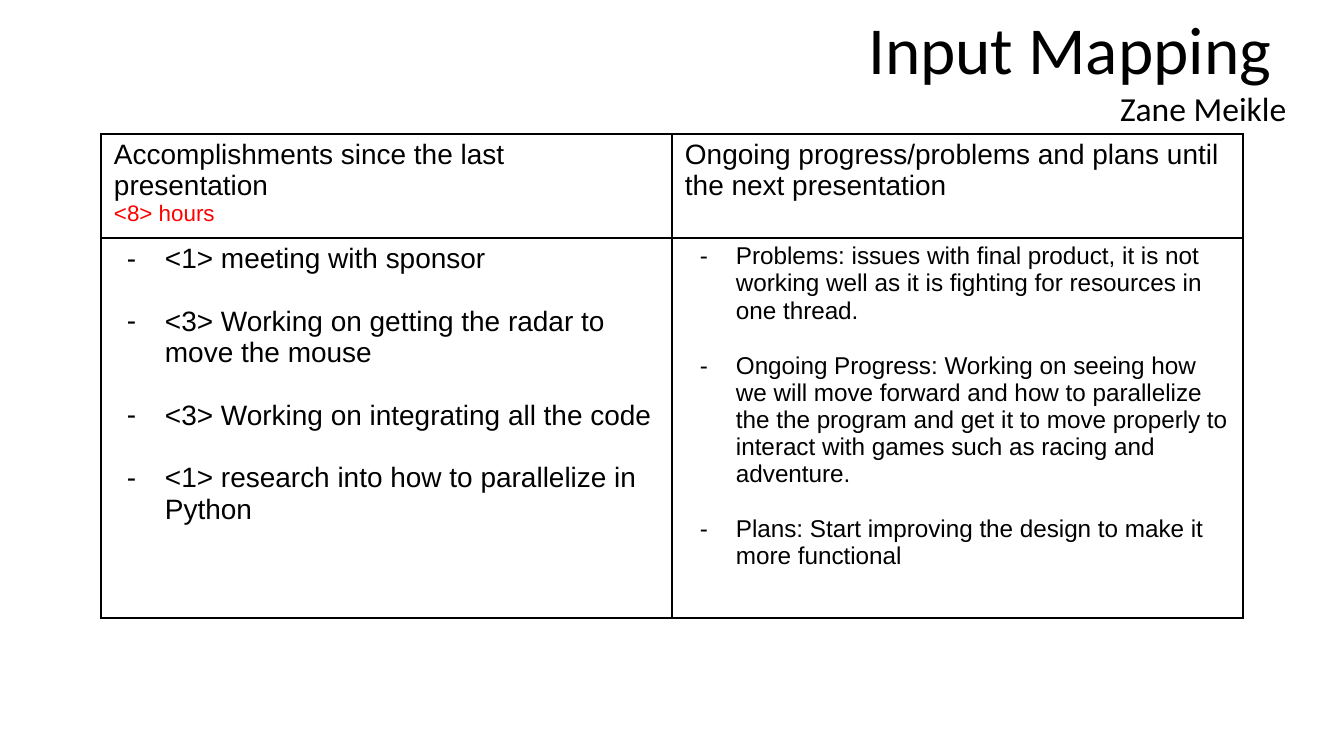
"""Build the Input Mapping status slide with its two-column progress table."""
from lxml import etree
from pptx import Presentation
from pptx import util as u
from pptx.dml.color import RGBColor
from pptx.enum import text
from pptx.oxml import ns

BLACK = RGBColor(0, 0, 0)
RED = RGBColor(255, 0, 0)
SCALE = 914400 / 134.4


def px(n):
    return u.Emu(round(n * SCALE))


def write(para, words, name, size, color=BLACK):
    run = para.add_run()
    run.text = words
    look = {"name": name, "size": u.Pt(size), "bold": False}
    for key, val in look.items():
        setattr(run.font, key, val)
    run.font.color.rgb = color


deck = Presentation()
deck.slide_width, deck.slide_height = px(1344), px(756)
slide = deck.slides.add_slide(deck.slide_layouts[5])

title = slide.shapes.title
place = {"left": 325, "top": 1, "width": 975, "height": 136}
for key, val in place.items():
    setattr(title, key, px(val))
frame = title.text_frame
form = {"word_wrap": True, "auto_size": text.MSO_AUTO_SIZE.NONE,
        "vertical_anchor": text.MSO_ANCHOR.TOP}
for key, val in form.items():
    setattr(frame, key, val)
for i, (words, size) in enumerate([("Input Mapping ", 36), ("Zane Meikle", 18)]):
    para = frame.add_paragraph() if i else frame.paragraphs[0]
    para.alignment = text.PP_ALIGN.RIGHT
    write(para, words, "Calibri", size)

heads = [
    [("Accomplishments since the last presentation", 15, BLACK),
     ("<8> hours", 12, RED)],
    [("Ongoing progress/problems and plans until the next presentation", 15, BLACK)],
]
lists = [
    (15, 38, 17, [
        "<1> meeting with sponsor",
        "<3> Working on getting the radar to move the mouse",
        "<3> Working on integrating all the code",
        "<1> research into how to parallelize in Python",
    ]),
    (13, 36, 15, [
        "Problems: issues with final product, it is not working well as it is "
        "fighting for resources in one thread.",
        "Ongoing Progress: Working on seeing how we will move forward and how to "
        "parallelize the the program and get it to move properly to interact "
        "with games such as racing and adventure.",
        "Plans: Start improving the design to make it more functional",
    ]),
]

table = slide.shapes.add_table(2, 2, px(101), px(134), px(1142), px(484)).table
table.first_row = table.horz_banding = False
for row, high in zip(table.rows, (104, 380)):
    row.height = px(high)
for col in table.columns:
    col.width = px(571)

pad = {"margin_left": 13, "margin_right": 13, "margin_top": 5, "margin_bottom": 5}
for cell in table.iter_cells():
    for key, val in pad.items():
        setattr(cell, key, px(val))
    props = cell._tc.get_or_add_tcPr()
    for side in ("lnL", "lnR", "lnT", "lnB"):
        line = etree.SubElement(props, ns.qn("a:" + side), w=str(u.Pt(1)))
        fill = etree.SubElement(line, ns.qn("a:solidFill"))
        etree.SubElement(fill, ns.qn("a:srgbClr"), val=str(BLACK))
    cell.fill.background()

for c, head in enumerate(heads):
    frame = table.cell(0, c).text_frame
    for i, (words, size, color) in enumerate(head):
        para = frame.add_paragraph() if i else frame.paragraphs[0]
        write(para, words, "Arial", size, color)

for c, (size, hang, gap, items) in enumerate(lists):
    frame = table.cell(1, c).text_frame
    for i, words in enumerate(items):
        para = frame.add_paragraph() if i else frame.paragraphs[0]
        props = para._p.get_or_add_pPr()
        props.set("marL", str(px(51)))
        props.set("indent", str(px(-hang)))
        tint = etree.SubElement(props, ns.qn("a:buClr"))
        etree.SubElement(tint, ns.qn("a:srgbClr"), val=str(BLACK))
        etree.SubElement(props, ns.qn("a:buFont"), typeface="Arial")
        etree.SubElement(props, ns.qn("a:buChar"), char="-")
        if i:
            para.space_before = u.Pt(gap)
        write(para, words, "Arial", size)

deck.save("out.pptx")
